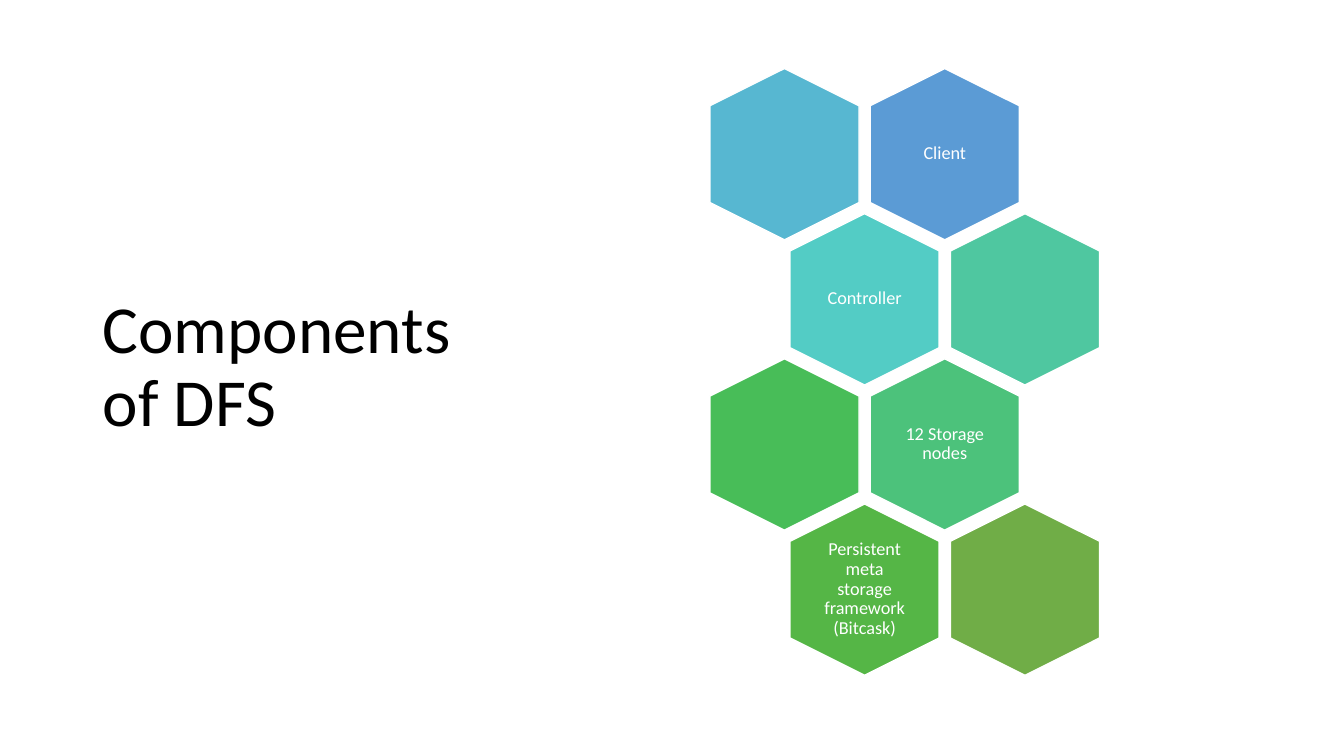
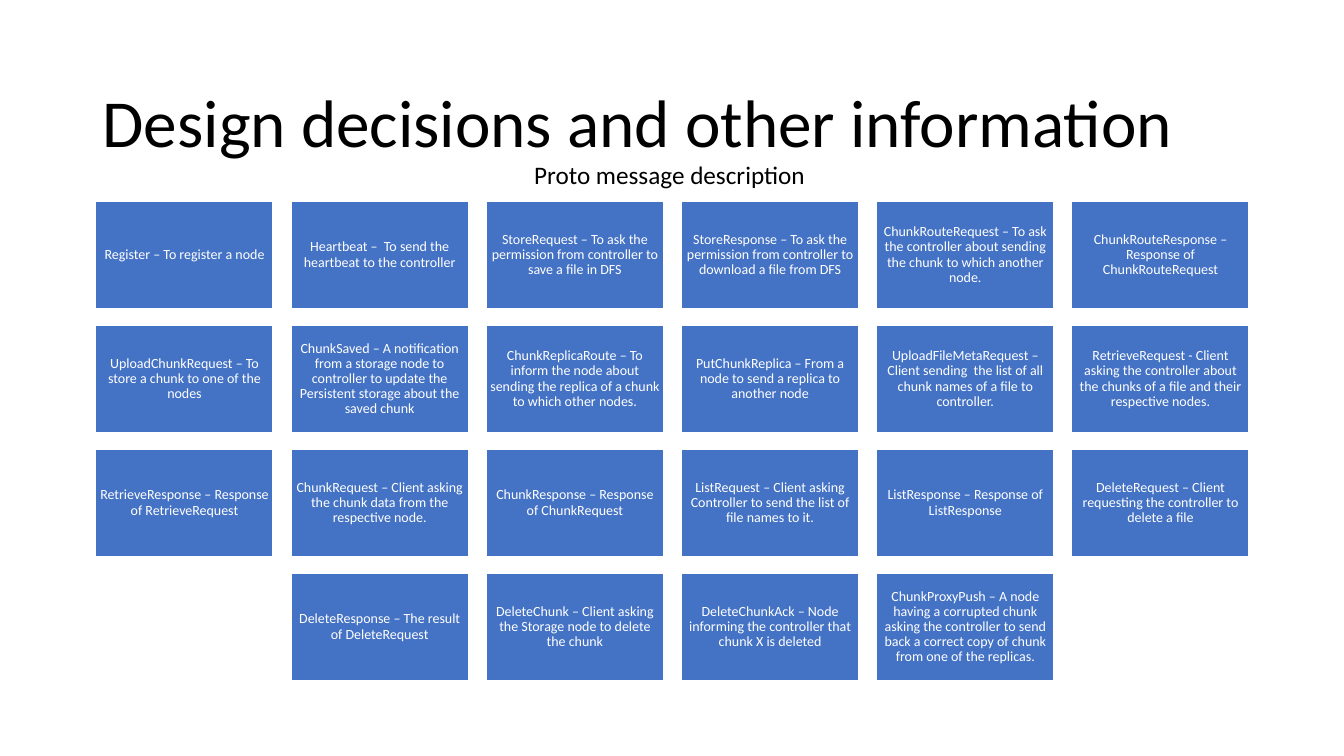
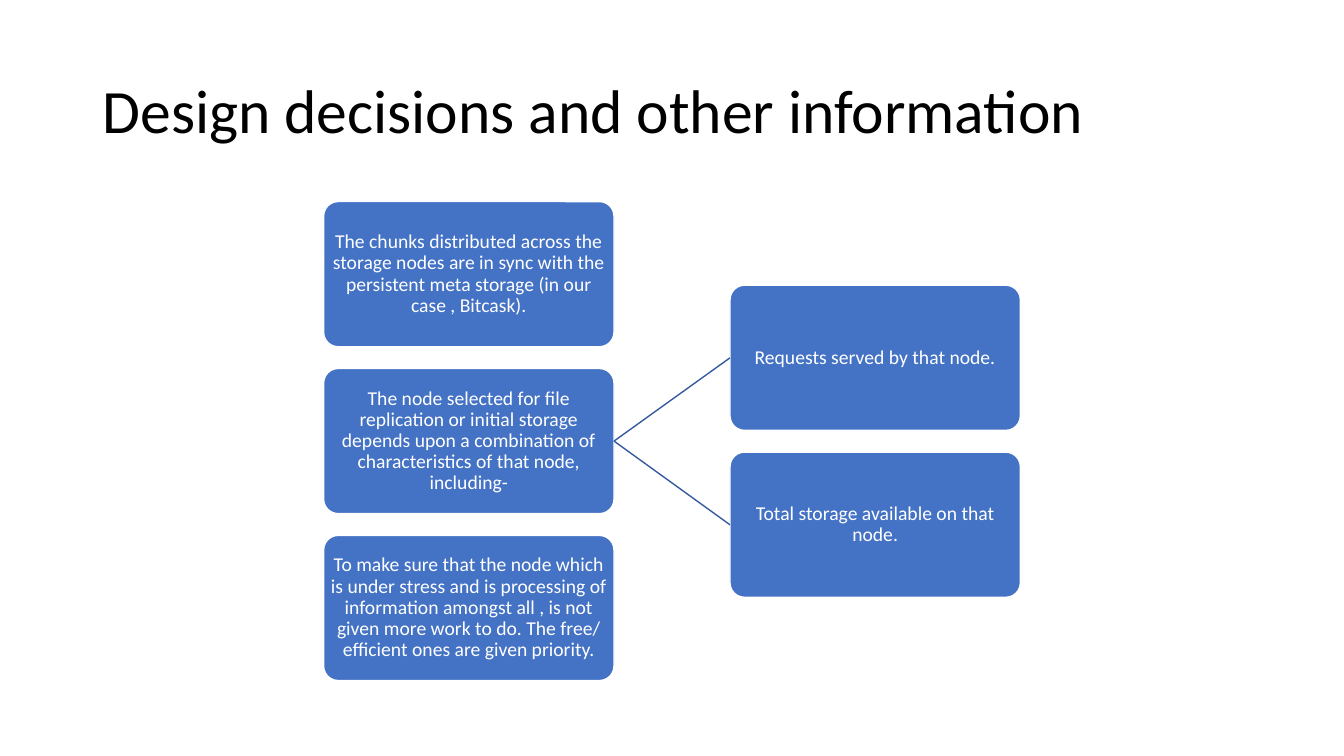
"""Build three slides on the components and design of a distributed file system."""
from dataclasses import dataclass

from lxml import etree
from pptx import Presentation
from pptx import util as u
from pptx.dml.color import RGBColor
from pptx.enum import shapes, text
from pptx.oxml.ns import qn

FONT = "Calibri"
COLORS = {
    "ink": "000000", "paper": "FFFFFF", "box": "4472C4", "link": "365B9D",
    "blue": "5B9BD5", "sky": "57B7D1", "teal": "53CCC5", "mint": "4FC7A0",
    "jade": "4CC27B", "green": "48BD58", "leaf": "55B646", "olive": "70AD47",
}
MARGINS = ("margin_left", "margin_top", "margin_right", "margin_bottom")


@dataclass(frozen=True)
class Box:
    left: float
    top: float
    width: float
    height: float

    def lengths(self) -> list[u.Length]:
        return [u.Inches(v) for v in (self.left, self.top, self.width, self.height)]


@dataclass(frozen=True)
class TextStyle:
    size: float
    color: str = "paper"
    align: text.PP_ALIGN = text.PP_ALIGN.CENTER
    anchor: text.MSO_ANCHOR = text.MSO_ANCHOR.MIDDLE
    spacing: float = 0.9
    inset: tuple[float, float] = (0.1, 0.05)
    wrap: bool = True


@dataclass(frozen=True)
class Hexagon:
    row: int
    col: int
    color: str
    label: str = ""


HEX_TEXT = TextStyle(13, inset=(0.05, 0.05))
MESSAGE_TEXT = TextStyle(10, inset=(0.04, 0.04))
DECISION_TEXT = TextStyle(14, inset=(0.01, 0.01))
SUBTITLE_TEXT = TextStyle(18, "ink", text.PP_ALIGN.LEFT, text.MSO_ANCHOR.TOP, 1.0, wrap=False)

HEXAGONS = [
    Hexagon(0, 1, "blue", "Client"),
    Hexagon(0, 0, "sky"),
    Hexagon(1, 0, "teal", "Controller"),
    Hexagon(1, 1, "mint"),
    Hexagon(2, 1, "jade", "12 Storage nodes"),
    Hexagon(2, 0, "green"),
    Hexagon(3, 0, "leaf", "Persistent meta storage framework (Bitcask)"),
    Hexagon(3, 1, "olive"),
]

MESSAGES = [
    "Register – To register a node",
    "Heartbeat –  To send the heartbeat to the controller",
    "StoreRequest – To ask the permission from controller to save a file in DFS",
    "StoreResponse – To ask the permission from controller to download a file from DFS",
    "ChunkRouteRequest – To ask the controller about sending the chunk to which another node.",
    "ChunkRouteResponse – Response of ChunkRouteRequest",
    "UploadChunkRequest – To store a chunk to one of the nodes",
    "ChunkSaved – A notification from a storage node to controller to update the "
    "Persistent storage about the saved chunk",
    "ChunkReplicaRoute – To inform the node about sending the replica of a chunk "
    "to which other nodes.",
    "PutChunkReplica – From a node to send a replica to another node",
    "UploadFileMetaRequest – Client sending  the list of all chunk names of a file to controller.",
    "RetrieveRequest - Client asking the controller about the chunks of a file "
    "and their respective nodes.",
    "RetrieveResponse – Response of RetrieveRequest",
    "ChunkRequest – Client asking the chunk data from the respective node.",
    "ChunkResponse – Response of ChunkRequest",
    "ListRequest – Client asking Controller to send the list of file names to it.",
    "ListResponse – Response of ListResponse",
    "DeleteRequest – Client requesting the controller to delete a file",
    "DeleteResponse – The result of DeleteRequest",
    "DeleteChunk – Client asking the Storage node to delete the chunk",
    "DeleteChunkAck – Node informing the controller that chunk X is deleted",
    "ChunkProxyPush – A node having a corrupted chunk asking the controller to send "
    "back a correct copy of chunk from one of the replicas.",
]

DECISIONS = [
    "The chunks distributed across the storage nodes are in sync with the persistent "
    "meta storage (in our case , Bitcask).",
    "The node selected for file replication or initial storage depends upon a combination "
    "of characteristics of that node, including-",
    "To make sure that the node which is under stress and is processing of information "
    "amongst all , is not given more work to do. The free/ efficient ones are given priority.",
]
CRITERIA = ["Requests served by that node.", "Total storage available on that node."]


def rgb(name: str) -> RGBColor:
    return RGBColor.from_string(COLORS[name])


def write(sp, content: str, style: TextStyle) -> None:
    tf = sp.text_frame
    horizontal, vertical = (u.Inches(v) for v in style.inset)
    frame_format = dict(zip(MARGINS, (horizontal, vertical) * 2))
    frame_format |= {"word_wrap": style.wrap, "vertical_anchor": style.anchor}
    p = tf.paragraphs[0]
    r = p.add_run()
    r.text = content
    for target, values in (
        (tf, frame_format),
        (p, {"alignment": style.align, "line_spacing": style.spacing}),
        (r.font, {"name": FONT, "size": u.Pt(style.size)}),
    ):
        for name, value in values.items():
            setattr(target, name, value)
    r.font.color.rgb = rgb(style.color)


def add_text(s, box: Box, content: str, style: TextStyle) -> None:
    write(s.shapes.add_textbox(*box.lengths()), content, style)


def add_title(s, box: Box, content: str, size: float = 48) -> None:
    add_text(s, box, content, TextStyle(size, "ink", text.PP_ALIGN.LEFT))


def add_block(s, kind: shapes.MSO_SHAPE, box: Box, color: str):
    sp = s.shapes.add_shape(kind, *box.lengths())
    sp.shadow.inherit = False
    sp.fill.solid()
    sp.fill.fore_color.rgb = rgb(color)
    sp.line.color.rgb = rgb("paper")
    sp.line.width = u.Pt(1)
    return sp


def add_link(s, start: Box, end: Box) -> None:
    points = (start.left + start.width, start.top + start.height / 2,
              end.left, end.top + end.height / 2)
    link = s.shapes.add_connector(shapes.MSO_CONNECTOR.STRAIGHT, *map(u.Inches, points))
    link.line.color.rgb = rgb("link")
    link.line.width = u.Pt(1)
    etree.SubElement(link._element.spPr, qn("a:effectLst"))


def build_components(s) -> None:
    add_title(s, Box(0.92, 0.61, 3.69, 6.09), "Components of DFS")
    pitch_x, pitch_y = 1.59, 1.44
    for item in HEXAGONS:
        left = 6.93 + pitch_x * (item.col + item.row % 2 / 2)
        top = 0.79 + pitch_y * item.row
        sp = add_block(s, shapes.MSO_SHAPE.HEXAGON, Box(left, top, 1.7, 1.48), item.color)
        sp.rotation = 90
        if item.label:
            add_text(s, Box(left + 0.34, top + 0.15, 1.02, 1.17), item.label, HEX_TEXT)


def build_messages(s) -> None:
    add_title(s, Box(0.92, 0.63, 11.5, 1.24), "Design decisions and other information")
    columns, width, height = 6, 1.76, 1.06
    pitch_x, pitch_y = width * 1.1, 1.23
    for i, message in enumerate(MESSAGES):
        row, col = divmod(i, columns)
        in_row = min(columns, len(MESSAGES) - row * columns)
        left = 0.95 + pitch_x * (col + (columns - in_row) / 2)
        box = Box(left, 2 + pitch_y * row, width, height)
        write(add_block(s, shapes.MSO_SHAPE.RECTANGLE, box, "box"), message, MESSAGE_TEXT)
    add_text(s, Box(5.2, 1.53, 2.93, 0.4), "Proto message description", SUBTITLE_TEXT)


def add_decisions(s, left: float, top: float, labels: list[str]) -> list[Box]:
    width, height = 2.88, 1.44
    boxes = [Box(left, top + height * 1.15 * i, width, height) for i in range(len(labels))]
    for box, label in zip(boxes, labels):
        sp = add_block(s, shapes.MSO_SHAPE.ROUNDED_RECTANGLE, box, "box")
        sp.adjustments[0] = 0.1
        write(sp, label, DECISION_TEXT)
    return boxes


def build_decisions(s) -> None:
    add_title(s, Box(0.92, 0.4, 11.5, 1.45), "Design decisions and other information", 44)
    decisions = add_decisions(s, 3.21, 2, DECISIONS)
    for criterion in add_decisions(s, 7.24, 2.83, CRITERIA):
        add_link(s, decisions[1], criterion)


def main() -> None:
    prs = Presentation()
    prs.slide_width, prs.slide_height = u.Inches(13.33), u.Inches(7.5)
    for build in (build_components, build_messages, build_decisions):
        build(prs.slides.add_slide(prs.slide_layouts[6]))
    prs.save("out.pptx")


if __name__ == "__main__":
    main()
